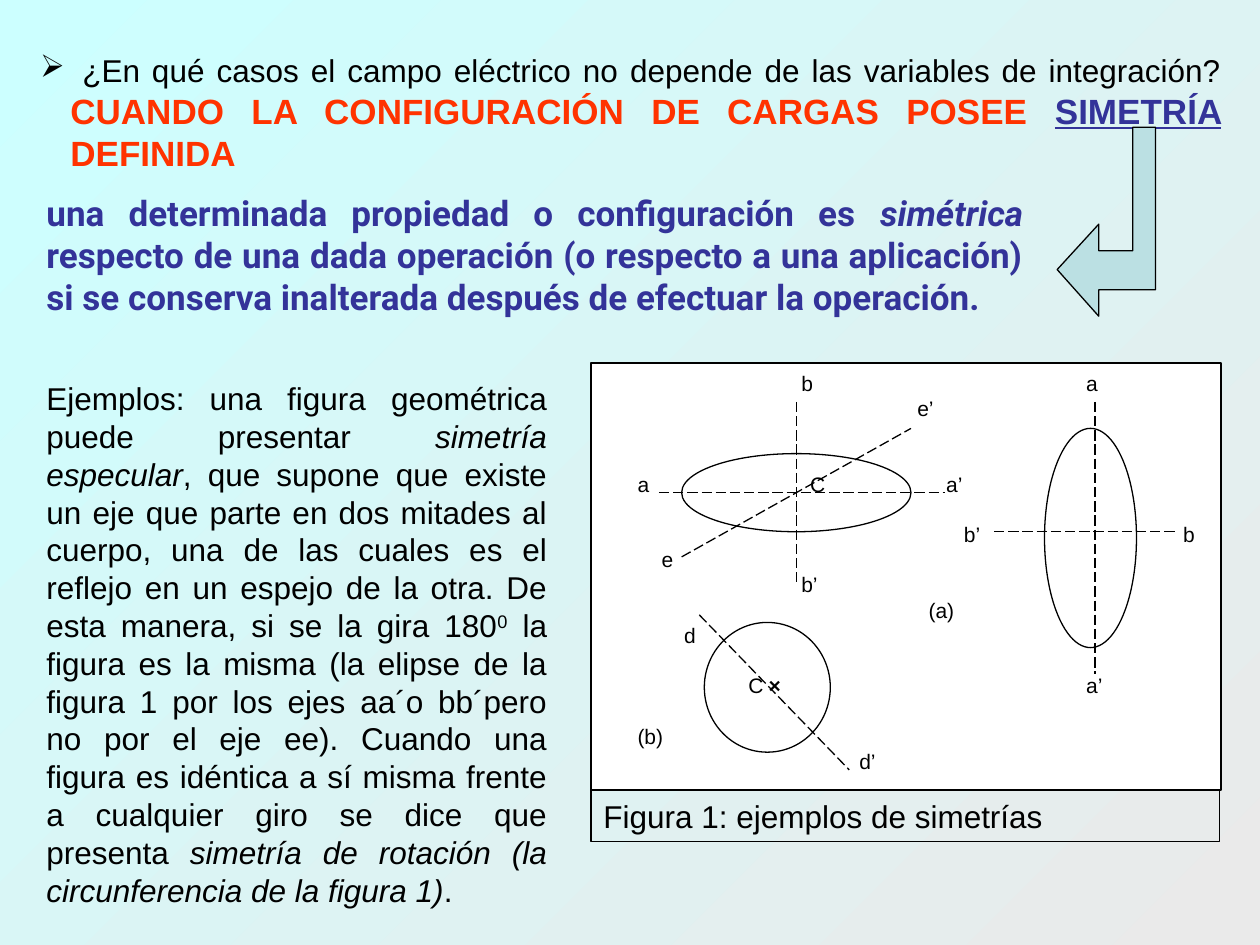
from dataclasses import dataclass
from typing import NamedTuple

import lxml.etree
import pptx
import pptx.dml.color
import pptx.enum.dml
import pptx.enum.shapes
import pptx.enum.text
import pptx.oxml.ns
import pptx.util

Inches = pptx.util.Inches
ALIGN = pptx.enum.text.PP_ALIGN


@dataclass(frozen=True)
class Theme:
    font: str = "Arial"
    accent_font: str = "Roboto"
    black: str = "000000"
    white: str = "FFFFFF"
    red: str = "FF3300"
    navy: str = "333399"
    arrow: str = "BBE0E3"
    bg: tuple = ("CCFFFF", "EAEAEA")
    label: float = 12
    body: float = 18
    strong: float = 20
    line: float = 0.75


T = Theme()


class Run(NamedTuple):
    text: str
    color: str = T.black
    size: float = T.body
    font: str = T.font
    bold: bool = False
    italic: bool = False
    underline: bool = False
    baseline: int = 0


class Box(NamedTuple):
    x: float
    y: float
    w: float
    h: float


class Axis(NamedTuple):
    x1: float
    y1: float
    x2: float
    y2: float


class Label(NamedTuple):
    text: str
    x: float
    row: int


ELLIPSES = [Box(5.41, 3.6, 1.82, 0.62), Box(5.59, 4.94, 1, 1.03),
            Box(8.29, 3.4, 0.73, 1.74)]
AXES = [
    Axis(6.32, 3.19, 6.32, 4.63), Axis(5.23, 3.91, 7.5, 3.91),
    Axis(5.55, 4.88, 6.74, 6.11), Axis(5.41, 4.42, 7.23, 3.4),
    Axis(8.69, 3.19, 8.69, 5.35), Axis(7.89, 4.22, 9.34, 4.22),
]
LABEL_TOP, ROW_STEP = 2.94, 0.2
LABELS = [
    Label("b", 6.36, 0), Label("a", 8.62, 0), Label("e’", 7.28, 1),
    Label("a", 5.06, 4), Label("C", 6.43, 4), Label("a’", 7.51, 4),
    Label("b’", 7.65, 6), Label("b", 9.39, 6), Label("e", 5.25, 7),
    Label("b’", 6.36, 8), Label("(a)", 7.37, 9), Label("d", 5.43, 10),
    Label("C", 5.94, 12), Label("×", 6.1, 12), Label("a’", 8.62, 12),
    Label("(b)", 5.06, 14), Label("d’", 6.82, 15),
]
ARROW = [(8.39, 2.14), (8.72, 1.78), (8.72, 1.99), (8.99, 1.99), (8.99, 1.01),
         (9.17, 1.01), (9.17, 2.3), (8.72, 2.3), (8.72, 2.51)]


def rgb(color: str) -> pptx.dml.color.RGBColor:
    return pptx.dml.color.RGBColor.from_string(color)


def lengths(values) -> list:
    return [Inches(v) for v in values]


def add_bullet(p, char: str, indent: float) -> None:
    pPr = p._p.get_or_add_pPr()
    pPr.set("marL", str(Inches(indent)))
    pPr.set("indent", str(-Inches(indent)))
    bullet = lxml.etree.SubElement(pPr, pptx.oxml.ns.qn("a:buChar"))
    bullet.set("char", char)


def write(sp, runs: list[Run], *, align=ALIGN.LEFT, bullet: str = "",
          wrap: bool = True, inset: tuple = (0.1, 0.05)) -> None:
    """Fill a shape with one paragraph of formatted runs."""
    tf = sp.text_frame
    tf.word_wrap = wrap
    tf.margin_left = tf.margin_right = Inches(inset[0])
    tf.margin_top = tf.margin_bottom = Inches(inset[1])
    p = tf.paragraphs[0]
    p.alignment = align
    if bullet:
        add_bullet(p, bullet, 0.24)
    for run in runs:
        r = p.add_run()
        r.text = run.text
        f = r.font
        f.name, f.size = run.font, pptx.util.Pt(run.size)
        f.bold, f.italic, f.underline = run.bold, run.italic, run.underline
        f.color.rgb = rgb(run.color)
        if run.baseline:
            r._r.get_or_add_rPr().set("baseline", str(run.baseline * 1000))


def add_text(shapes, box: Box, runs: list[Run], **fmt) -> None:
    write(shapes.add_textbox(*lengths(box)), runs, **fmt)


def style(sp, fill: str | None) -> None:
    sp.shadow.inherit = False
    if fill:
        sp.fill.solid()
        sp.fill.fore_color.rgb = rgb(fill)
    else:
        sp.fill.background()
    sp.line.color.rgb = rgb(T.black)
    sp.line.width = pptx.util.Pt(T.line)


def add_shape(shapes, kind: str, box: Box, fill: str | None = T.white):
    sp = shapes.add_shape(pptx.enum.shapes.MSO_SHAPE[kind], *lengths(box))
    style(sp, fill)
    return sp


def add_axis(shapes, axis: Axis) -> None:
    c = shapes.add_connector(pptx.enum.shapes.MSO_CONNECTOR.STRAIGHT, *lengths(axis))
    c.line.color.rgb = rgb(T.black)
    c.line.width = pptx.util.Pt(T.line)
    c.line.dash_style = pptx.enum.dml.MSO_LINE.LONG_DASH
    lxml.etree.SubElement(c._element.spPr, pptx.oxml.ns.qn("a:effectLst"))


def add_arrow(shapes) -> None:
    points = [lengths(pt) for pt in ARROW]
    builder = shapes.build_freeform(*points[0])
    builder.add_line_segments(points[1:], close=True)
    style(builder.convert_to_shape(), T.arrow)


def add_figure(shapes) -> None:
    figure = shapes.add_group_shape().shapes
    add_shape(figure, "RECTANGLE", Box(4.69, 2.88, 5, 3.39))
    for box in ELLIPSES:
        add_shape(figure, "OVAL", box)
    for axis in AXES:
        add_axis(figure, axis)
    for label in LABELS:
        box = Box(label.x, LABEL_TOP + ROW_STEP * label.row, 0.25, ROW_STEP)
        run = Run(label.text, size=T.label, bold=label.text == "×")
        add_text(figure, box, [run], wrap=False, inset=(0, 0))
    caption = add_shape(shapes, "RECTANGLE", Box(4.69, 6.27, 4.99, 0.41), None)
    write(caption, [Run("Figura 1: ejemplos de simetrías")])


def add_background(s) -> None:
    fill = s.background.fill
    fill.gradient()
    fill.gradient_angle = 315
    for stop, color in zip(fill.gradient_stops, T.bg):
        stop.color.rgb = rgb(color)


def main() -> None:
    prs = pptx.Presentation()
    prs.slide_width, prs.slide_height = Inches(10), Inches(7.5)
    s = prs.slides.add_slide(prs.slide_layouts[6])
    add_background(s)
    heading = dict(size=T.strong, bold=True)
    quote = dict(color=T.navy, font=T.accent_font, **heading)
    add_text(s.shapes, Box(0.22, 0.36, 9.57, 1.07), [
        Run(" ¿En qué casos el campo eléctrico no depende de las variables de integración? "),
        Run("CUANDO LA CONFIGURACIÓN DE CARGAS POSEE ", T.red, **heading),
        Run("SIMETRÍA ", T.navy, underline=True, **heading),
        Run("DEFINIDA", T.red, **heading)], align=ALIGN.JUSTIFY, bullet="➢")
    add_text(s.shapes, Box(0.27, 1.47, 7.95, 1.43), [
        Run("una determinada propiedad o configuración es ", **quote),
        Run("simétrica", italic=True, **quote),
        Run(" respecto de una dada operación (o respecto a una aplicación) si se "
            "conserva inalterada después de efectuar la operación.", **quote),
    ], align=ALIGN.JUSTIFY)
    add_arrow(s.shapes)
    add_text(s.shapes, Box(0.27, 2.96, 4.17, 4.31), [
        Run("Ejemplos: una figura geométrica puede presentar "),
        Run("simetría especular", italic=True),
        Run(", que supone que existe un eje que parte en dos mitades al cuerpo, una de las "
            "cuales es el reflejo en un espejo de la otra. De esta manera, si se la gira 180"),
        Run("0", baseline=30),
        Run(" la figura es la misma (la elipse de la figura 1 por los ejes aa´o bb´pero no "
            "por el eje ee). Cuando una figura es idéntica a sí misma frente a cualquier "
            "giro se dice que presenta "),
        Run("simetría de rotación (la circunferencia de la figura 1)", italic=True),
        Run(".")], align=ALIGN.JUSTIFY)
    add_figure(s.shapes)
    prs.save("out.pptx")


if __name__ == "__main__":
    main()
